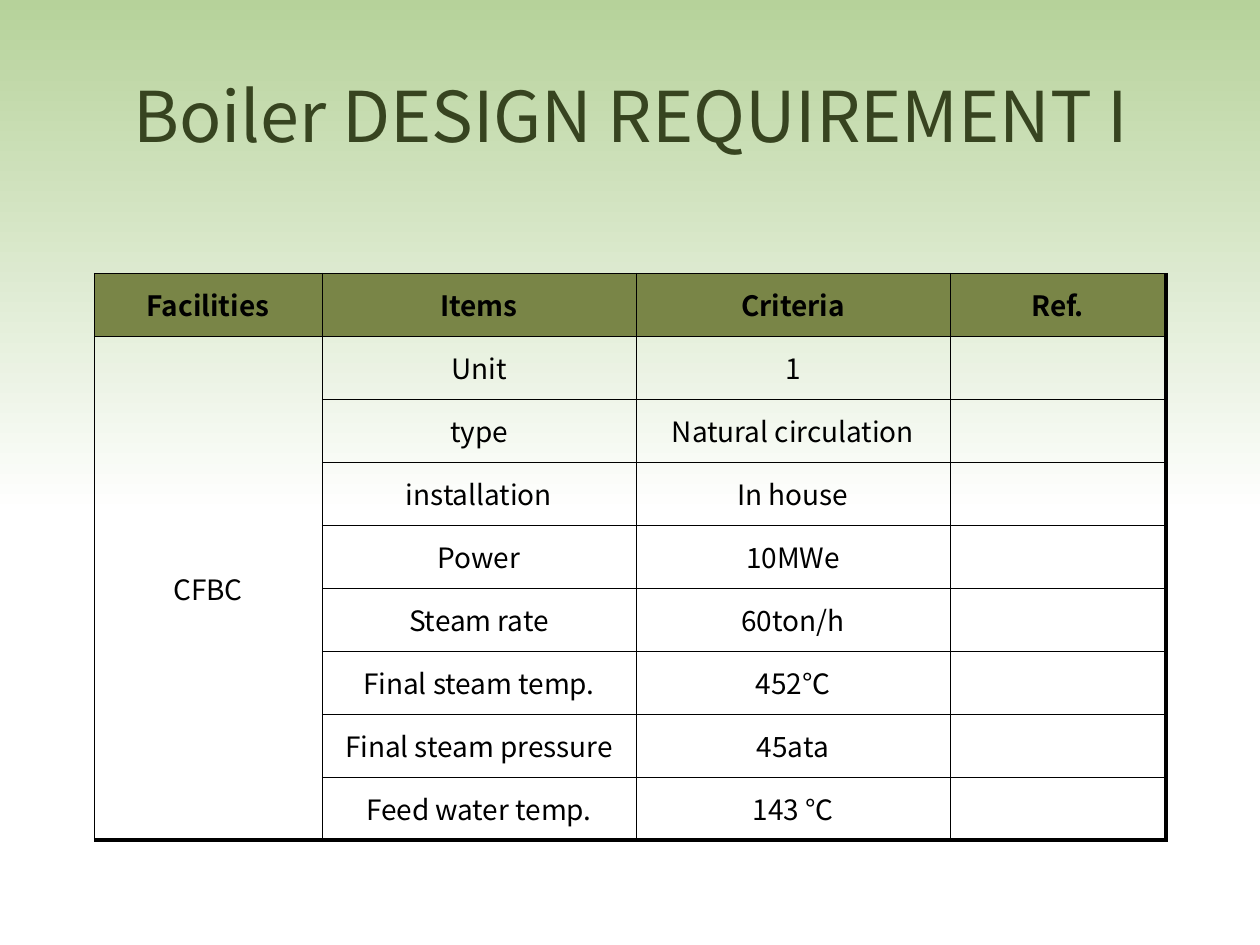
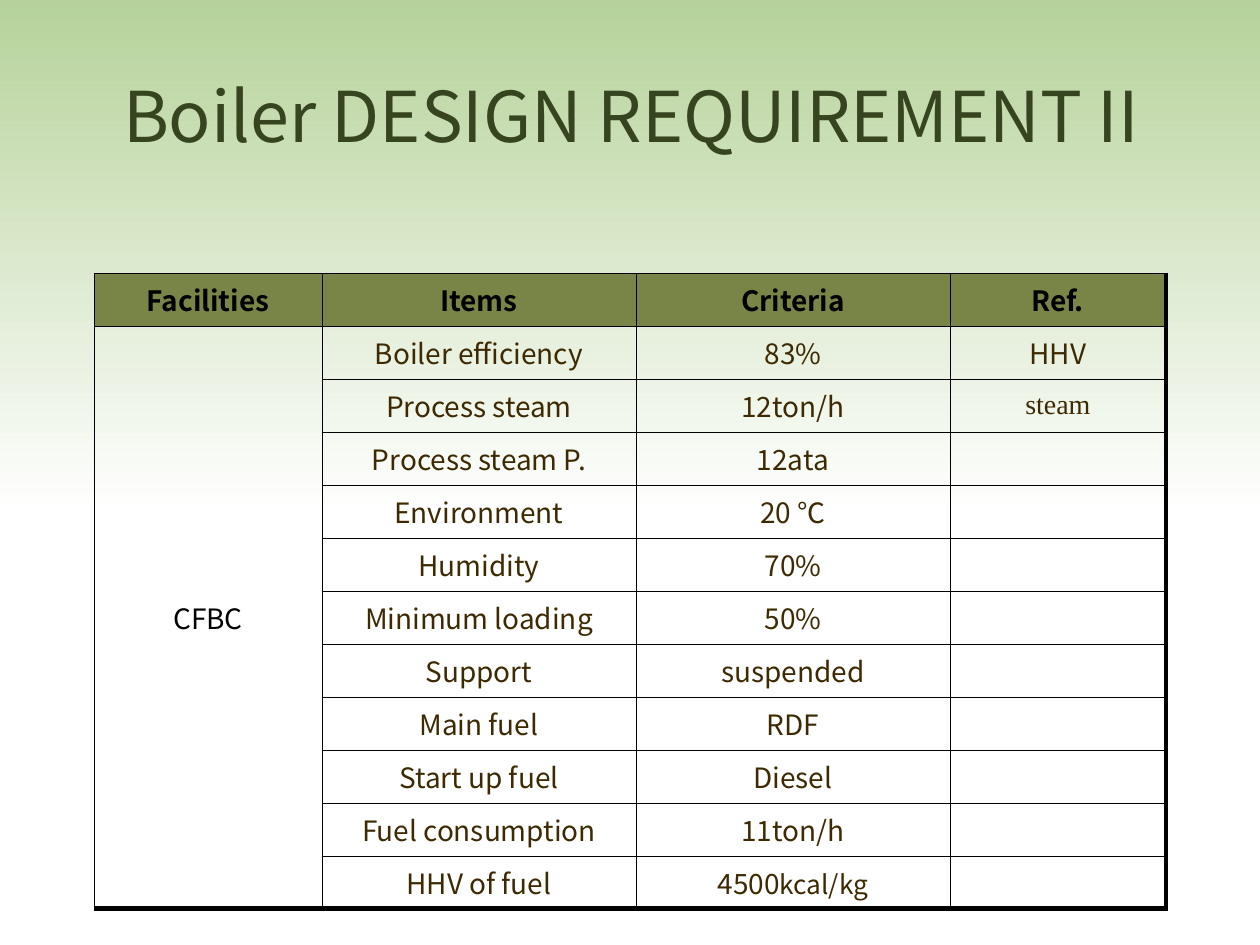
from dataclasses import dataclass

from lxml import etree
from pptx import Presentation
from pptx import util as u
from pptx.dml.color import RGBColor
from pptx.enum import shapes, text
from pptx.oxml import ns


@dataclass(frozen=True)
class Theme:
    font: str = "Noto Sans CJK KR"
    serif: str = "Times New Roman"
    title_color: str = "374420"
    band_top: str = "B6D29A"
    band_bottom: str = "FFFFFF"
    header_fill: str = "798547"
    black: str = "000000"
    brown: str = "3D2A03"
    title_size: int = 40
    cell_size: int = 16
    unit_size: int = 15
    thin: float = 0.25
    thick: float = 3


theme = Theme()
PX = 914400 / 126
SLIDE_W, SLIDE_H = 1260, 945
TITLE_BOX = (64, 35, 1134, 158)
BAND_H = 514
TABLE_LEFT, TABLE_TOP, TABLE_H = 94, 273, 567
COL_WIDTHS = (228, 314, 314, 216)
HEADERS = ("Facilities", "Items", "Criteria", "Ref.")
FACILITY = "CFBC"

# Title, body text colour, rows of (item, criterion, reference);
# a criterion given as a pair ends in a smaller unit.
SLIDES = [
    ("Boiler DESIGN REQUIREMENT I", theme.black, [
        ("Unit", "1", ""),
        ("type", "Natural circulation", ""),
        ("installation", "In house", ""),
        ("Power", "10MWe", ""),
        ("Steam rate", "60ton/h", ""),
        ("Final steam temp.", "452℃", ""),
        ("Final steam pressure", "45ata", ""),
        ("Feed water temp.", "143 ℃", ""),
    ]),
    ("Boiler DESIGN REQUIREMENT II", theme.brown, [
        ("Boiler efficiency", "83%", "HHV"),
        ("Process steam", "12ton/h", "steam"),
        ("Process steam P.", "12ata", ""),
        ("Environment", "20 ℃", ""),
        ("Humidity", "70%", ""),
        ("Minimum loading", "50%", ""),
        ("Support", "suspended", ""),
        ("Main fuel", "RDF", ""),
        ("Start up fuel", "Diesel", ""),
        ("Fuel consumption", "11ton/h", ""),
        ("HHV of fuel", ("4500", "kcal/kg"), ""),
    ]),
]


def format_paragraph(p, size, color, bold=False, name=theme.font):
    p.alignment = text.PP_ALIGN.CENTER
    p.font.name = name
    p.font.size = u.Pt(size)
    p.font.bold = bold
    p.font.color.rgb = RGBColor.from_string(color)


def add_border(cell, side, width):
    """Draw one side (L, R, T or B) of a cell; call in that order, before the fill."""
    tc_pr = cell._tc.get_or_add_tcPr()
    ln = etree.SubElement(tc_pr, ns.qn(f"a:ln{side}"), w=str(u.Pt(width)))
    fill = etree.SubElement(ln, ns.qn("a:solidFill"))
    etree.SubElement(fill, ns.qn("a:srgbClr"), val=theme.black)


prs = Presentation()
prs.slide_width = round(SLIDE_W * PX)
prs.slide_height = round(SLIDE_H * PX)
title_only = prs.slide_layouts[5]

for title, body_color, rows in SLIDES:
    s = prs.slides.add_slide(title_only)

    # Title
    sp = s.shapes.title
    sp.left, sp.top, sp.width, sp.height = (round(v * PX) for v in TITLE_BOX)
    tf = sp.text_frame
    tf.text = title
    tf.vertical_anchor = text.MSO_ANCHOR.MIDDLE
    format_paragraph(tf.paragraphs[0], theme.title_size, theme.title_color)

    # Requirements table
    grid = [HEADERS] + [(FACILITY if i == 0 else "", *row) for i, row in enumerate(rows)]
    last_row, last_col = len(grid) - 1, len(HEADERS) - 1
    row_h = TABLE_H // len(grid)
    frame = s.shapes.add_table(
        len(grid), len(HEADERS), round(TABLE_LEFT * PX), round(TABLE_TOP * PX),
        round(sum(COL_WIDTHS) * PX), round(row_h * len(grid) * PX))
    table = frame.table
    table.first_row = table.horz_banding = False
    for column, width in zip(table.columns, COL_WIDTHS):
        column.width = round(width * PX)
    for row in table.rows:
        row.height = round(row_h * PX)
    table.cell(1, 0).merge(table.cell(last_row, 0))

    for i, values in enumerate(grid):
        for j, value in enumerate(values):
            cell = table.cell(i, j)
            cell.vertical_anchor = text.MSO_ANCHOR.MIDDLE
            at_bottom = i == last_row or cell.is_merge_origin
            add_border(cell, "L", theme.thin)
            add_border(cell, "R", theme.thick if j == last_col else theme.thin)
            add_border(cell, "T", theme.thin)
            add_border(cell, "B", theme.thick if at_bottom else theme.thin)
            if i == 0:
                cell.fill.solid()
                cell.fill.fore_color.rgb = RGBColor.from_string(theme.header_fill)
            else:
                cell.fill.background()

            p = cell.text_frame.paragraphs[0]
            color = theme.black if i == 0 or j == 0 else body_color
            name = theme.serif if value == "steam" else theme.font
            format_paragraph(p, theme.cell_size, color, bold=i == 0, name=name)
            if isinstance(value, tuple):
                for part, size in zip(value, (theme.cell_size, theme.unit_size)):
                    r = p.add_run()
                    r.text = part
                    r.font.size = u.Pt(size)
            elif value:
                p.add_run().text = value

# Gradient band, moved to the back of the master so that every slide shows it
band = prs.slides[0].shapes.add_shape(
    shapes.MSO_SHAPE.RECTANGLE, 0, 0, prs.slide_width, round(BAND_H * PX))
band.shadow.inherit = False
band.line.fill.background()
band.fill.gradient()
band.fill.gradient_angle = 270
for stop, color in zip(band.fill.gradient_stops, (theme.band_top, theme.band_bottom)):
    stop.color.rgb = RGBColor.from_string(color)
prs.slide_master.shapes._spTree.insert(2, band._element)

prs.save("out.pptx")
